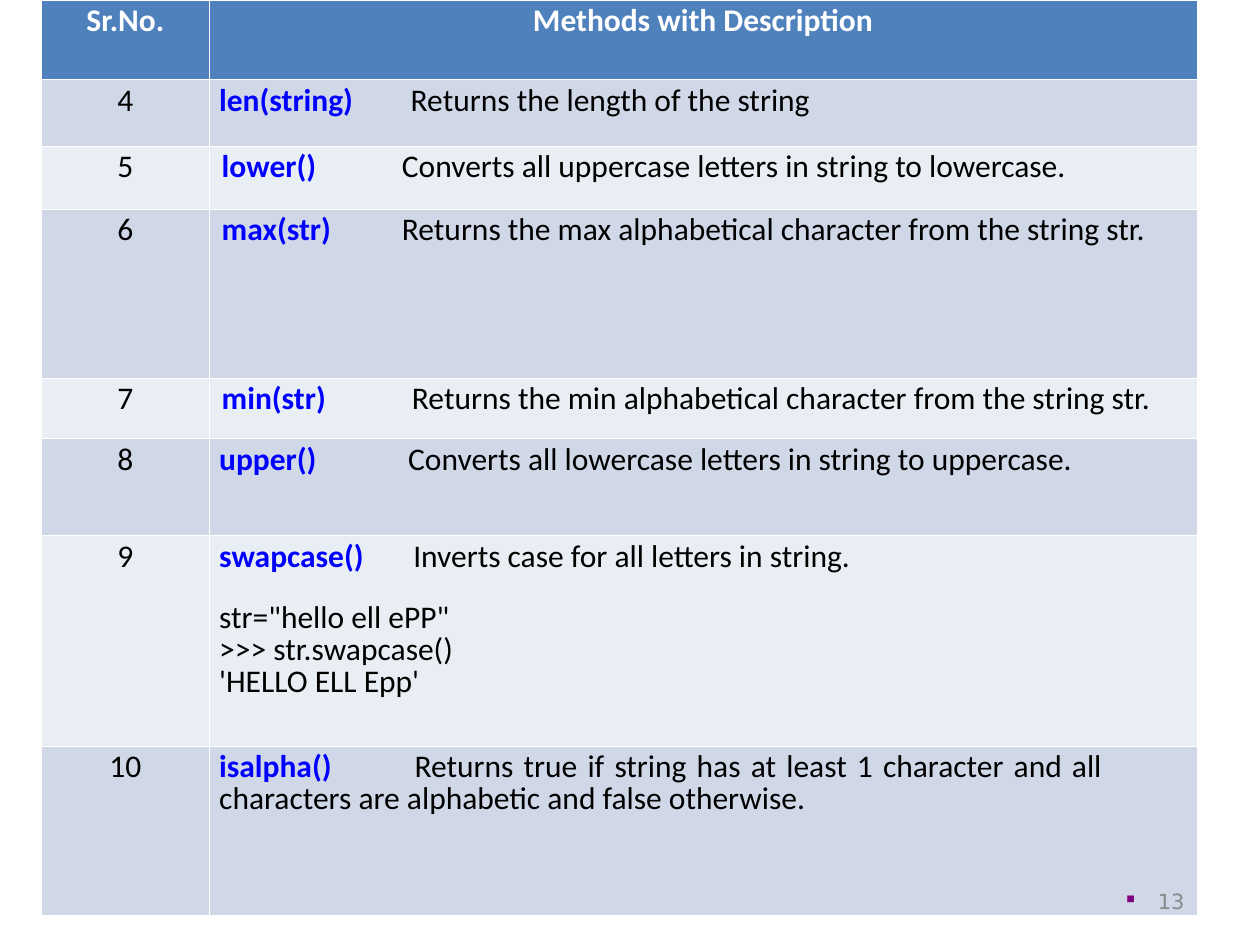
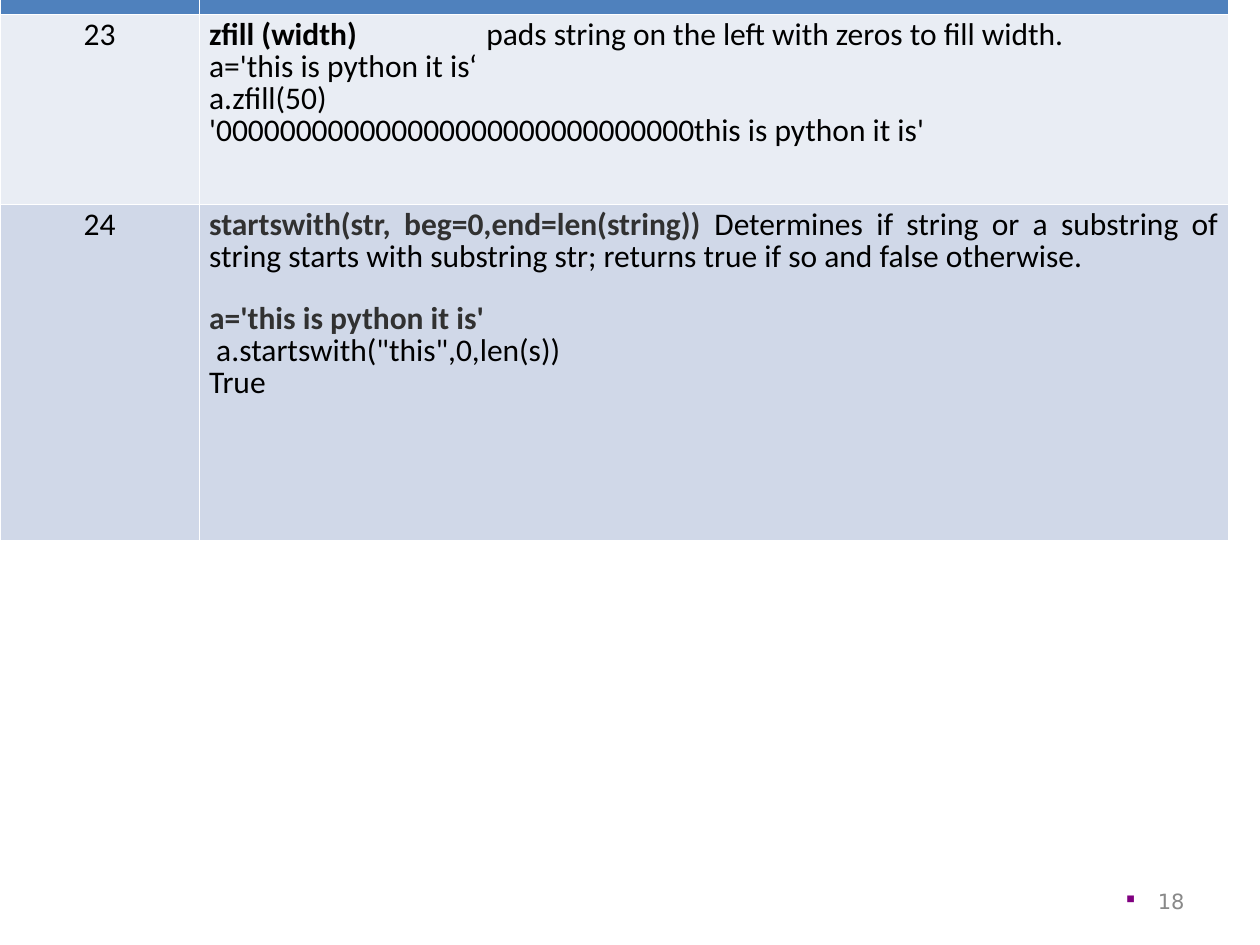
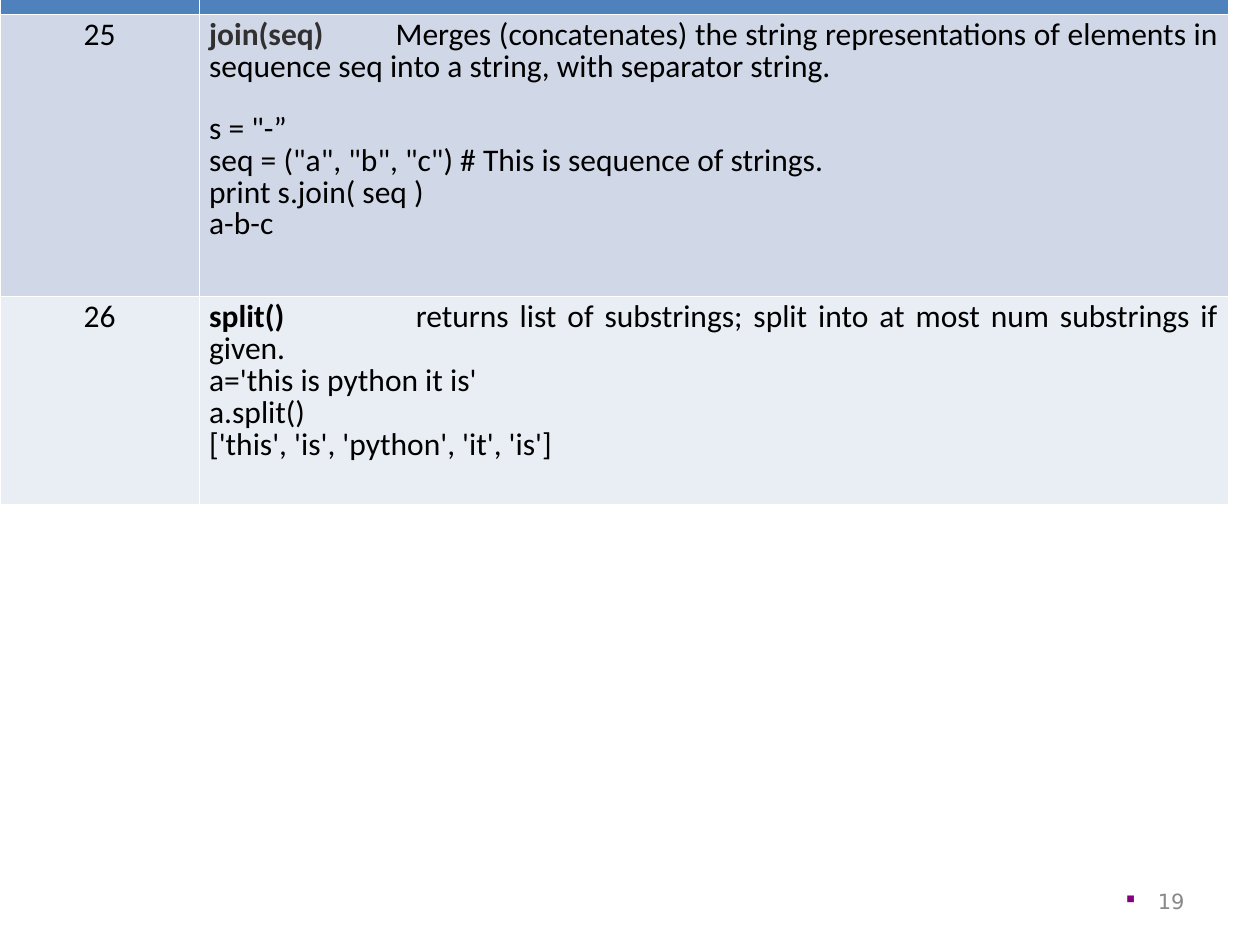
from dataclasses import dataclass

from lxml import etree
from pptx import Presentation
from pptx.dml.color import RGBColor
from pptx.enum.text import MSO_ANCHOR, PP_ALIGN
from pptx.oxml.ns import qn
from pptx.util import Inches, Pt

LEFT, MID = PP_ALIGN.LEFT, PP_ALIGN.CENTER
RIGHT, FULL = PP_ALIGN.RIGHT, PP_ALIGN.JUSTIFY
TOP, CENTRE = MSO_ANCHOR.TOP, MSO_ANCHOR.MIDDLE

WHITE = RGBColor(0xFF, 0xFF, 0xFF)
BLACK = RGBColor(0x00, 0x00, 0x00)
BLUE = RGBColor(0x00, 0x00, 0xFF)
DARK = RGBColor(0x31, 0x31, 0x31)
HEAD = RGBColor(0x4F, 0x81, 0xBD)
BANDS = RGBColor(0xD0, 0xD8, 0xE8), RGBColor(0xE9, 0xED, 0xF4)
GREY = RGBColor(0x89, 0x89, 0x89)
PURPLE = RGBColor(0x80, 0x00, 0x80)

BODY, SMALL = "Calibri", "DejaVu Sans"
WIDE, HIGH = 10, 7.5
PAD = 0.08  # side inset of a cell
RULE = Pt(0.11)
GAP = 17  # points between a description and its sample


@dataclass
class Entry:
    """One row: a method, its description and sample code lines."""
    num: str
    high: float
    name: str
    text: str
    tab: float = 0  # where the description starts; 0 means after a space
    ink: RGBColor = BLUE
    code: tuple = ()
    gap: int = 0
    bold: bool = False  # first code line is bold
    pad: float = PAD
    end: float = PAD


def add(parent, tag, **attrs):
    node = etree.SubElement(parent, qn(tag))
    for key, value in attrs.items():
        node.set(key, str(value))
    return node


def write(frame, text, first=True, size=18, font=BODY, ink=BLACK, bold=False,
          align=LEFT, lines=0.83, before=0, tab=0, bullet=None):
    """Write one paragraph; text is a string or a list of (text, ink, bold)."""
    para = frame.paragraphs[0] if first else frame.add_paragraph()
    props = para._p.get_or_add_pPr()
    if bullet:
        props.set("marL", str(Inches(0.25)))
        props.set("indent", str(-Inches(0.25)))
        add(add(props, "a:buClr"), "a:srgbClr", val=PURPLE)
        add(props, "a:buSzPct", val=55000)
        add(props, "a:buChar", char=bullet)
    if tab:
        add(add(props, "a:tabLst"), "a:tab", pos=Inches(tab), algn="l")
    para.alignment = align
    para.line_spacing = lines
    if before:
        para.space_before = Pt(before)
    runs = [(text, ink, bold)] if isinstance(text, str) else text
    for words, tint, heavy in runs:
        run = para.add_run()
        run.text = words
        run.font.size, run.font.name = Pt(size), font
        run.font.bold, run.font.color.rgb = heavy, tint


def paint(cell, fill, pad=PAD, end=PAD):
    """Give a cell its insets, thin white borders and fill."""
    cell.margin_left, cell.margin_right = Inches(pad), Inches(end)
    cell.margin_top = cell.margin_bottom = Inches(0.05)
    cell.vertical_anchor = TOP
    props = cell._tc.get_or_add_tcPr()
    for side in "LRTB":
        line = add(props, f"a:ln{side}", w=RULE)
        add(add(line, "a:solidFill"), "a:srgbClr", val=WHITE)
    cell.fill.solid()
    cell.fill.fore_color.rgb = fill


def describe(cell, item):
    """Fill the description cell of one entry."""
    frame = cell.text_frame
    sep = "\t" if item.tab else " "
    write(frame, [(item.name, item.ink, True), (sep + item.text, BLACK, False)],
          align=FULL, tab=item.tab)
    for i, line in enumerate(item.code):
        heavy = item.bold and i == 0
        write(frame, line, first=False, bold=heavy, ink=DARK if heavy else BLACK,
              before=0 if i else item.gap)


def grid(slide, box, cols, top, titles, items, shift=0):
    """Draw the method table at box (left, top) with a header row."""
    highs = [top] + [item.high for item in items]
    shape = slide.shapes.add_table(len(highs), len(cols), *map(
        Inches, (*box, sum(cols), sum(highs))))
    table = shape.table
    table.first_row = table.horz_banding = False
    for col, wide in zip(table.columns, cols):
        col.width = Inches(wide)
    for row, high in zip(table.rows, highs):
        row.height = Inches(high)

    # Header
    for i in range(len(cols)):
        cell = table.cell(0, i)
        paint(cell, HEAD)
        if titles:
            write(cell.text_frame, titles[i], ink=WHITE, bold=True, align=MID)

    # Entries
    for i, item in enumerate(items):
        band = BANDS[(i + shift) % 2]
        num, desc = table.cell(i + 1, 0), table.cell(i + 1, 1)
        paint(num, band)
        write(num.text_frame, item.num, align=MID)
        paint(desc, band, item.pad, item.end)
        describe(desc, item)


def footer(slide, page):
    """Place the bulleted page number at the lower right."""
    wide, high = 2.33, 0.4
    box = slide.shapes.add_textbox(*map(
        Inches, (0.95 * WIDE - wide, 0.98 * HIGH - high, wide, high)))
    frame = box.text_frame
    frame.word_wrap = True
    frame.vertical_anchor = CENTRE
    write(frame, page, size=12, font=SMALL, ink=GREY, align=RIGHT, lines=1,
          bullet="■")


FIRST = [
    Entry("4", 0.53, "len(string)", "Returns the length of the string", 1.52),
    Entry("5", 0.5, "lower()",
          "Converts all uppercase letters in string to lowercase.", 1.43, pad=0.1),
    Entry("6", 1.34, "max(str)",
          "Returns the max alphabetical character from the string str.", 1.43,
          pad=0.1),
    Entry("7", 0.48, "min(str)",
          "Returns the min alphabetical character from the string str.", 1.51,
          pad=0.1),
    Entry("8", 0.77, "upper()",
          "Converts all lowercase letters in string to uppercase.", 1.5),
    Entry("9", 1.67, "swapcase()", "Inverts case for all letters in string.", 1.54,
          code=('str="hello ell ePP"', ">>> str.swapcase()", "'HELLO ELL Epp'"),
          gap=GAP),
    Entry("10", 1.34, "isalpha()",
          "Returns true if string has at least 1 character and all "
          "characters are alphabetic and false otherwise.", 1.55, end=0.75),
]
SECOND = [
    Entry("23", 1.51, "zfill (width)",
          "pads string on the left with zeros to fill width.", 2.2, BLACK,
          code=("a='this is python it is‘", "a.zfill(50)",
                "'000000000000000000000000000000this is python it is'")),
    Entry("24", 2.67, "startswith(str, beg=0,end=len(string))",
          "Determines if string or a substring of string starts with "
          "substring str; returns true if so and false otherwise.", ink=DARK,
          code=("a='this is python it is'", ' a.startswith("this",0,len(s))',
                "True"), gap=GAP, bold=True),
]
THIRD = [
    Entry("25", 2.24, "join(seq)",
          "Merges (concatenates) the string representations of elements in "
          "sequence seq into a string, with separator string.", 1.48, DARK,
          code=('s = "-”', 'seq = ("a", "b", "c") # This is sequence of strings.',
                "print s.join( seq )", "a-b-c"), gap=GAP),
    Entry("26", 1.65, "split()",
          "returns list of substrings; split into at most num substrings if given.",
          1.64, BLACK,
          code=("a='this is python it is'", "a.split()",
                "['this', 'is', 'python', 'it', 'is']")),
]

# Place of the table, column widths, header height
OPEN = (0.33, 0), (1.33, 7.84), 0.63
MORE = (0, -0.33), (1.58, 8.17), 0.44
TITLES = "Sr.No.", "Methods with Description"
PAGES = [
    ("13", OPEN, TITLES, FIRST, 0),
    ("18", MORE, (), SECOND, 1),
    ("19", MORE, (), THIRD, 0),
]


def main():
    deck = Presentation()
    deck.slide_width, deck.slide_height = Inches(WIDE), Inches(HIGH)
    for page, place, titles, items, shift in PAGES:
        slide = deck.slides.add_slide(deck.slide_layouts[6])
        grid(slide, *place, titles, items, shift)
        footer(slide, page)
    deck.save("out.pptx")


if __name__ == "__main__":
    main()
